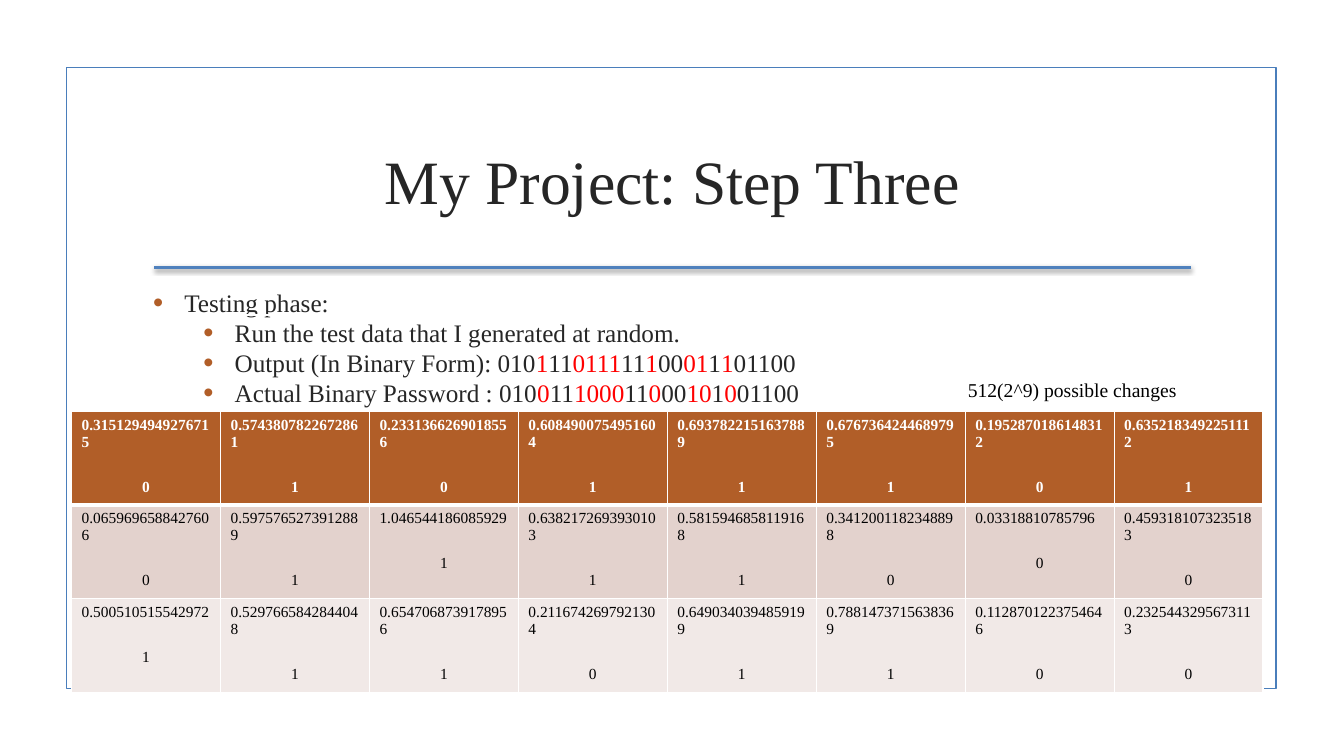
from itertools import groupby

from lxml.etree import SubElement
from pptx import Presentation
from pptx.dml.color import RGBColor
from pptx.enum.shapes import MSO_CONNECTOR as Connector, MSO_SHAPE as Shape
from pptx.enum.text import MSO_ANCHOR as Anchor, PP_ALIGN as Align
from pptx.oxml import parse_xml
from pptx.oxml.ns import nsdecls, qn
from pptx.util import Inches, Pt

WHITE = RGBColor(0xFF, 0xFF, 0xFF)
BLACK = RGBColor(0, 0, 0)
INK = RGBColor(0x26, 0x26, 0x26)
RED = RGBColor(0xFF, 0, 0)
RUST = RGBColor(0xB1, 0x5E, 0x28)
FRAME_BLUE = RGBColor(0x4A, 0x7E, 0xBB)
RULE_BLUE = RGBColor(0x4F, 0x81, 0xBD)
ROW_FILLS = [RUST, RGBColor(0xE3, 0xD2, 0xCD), RGBColor(0xF1, 0xE9, 0xE7)]

OUTPUT_BITS = "010111011111100011101100"
PASSWORD_BITS = "010011100011000101001100"
NETWORK_VALUES = [
    ["0.3151294949276715", "0.5743807822672861", "0.2331366269018556", "0.6084900754951604",
     "0.6937822151637889", "0.6767364244689795", "0.1952870186148312", "0.6352183492251112"],
    ["0.0659696588427606", "0.5975765273912889", "1.046544186085929", "0.6382172693930103",
     "0.5815946858119168", "0.3412001182348898", "0.03318810785796", "0.4593181073235183"],
    ["0.500510515542972", "0.5297665842844048", "0.6547068739178956", "0.2116742697921304",
     "0.6490340394859199", "0.7881473715638369", "0.1128701223754646", "0.2325443295673113"],
]


def add_span(para, text, size, color, **extra):
    span = para.add_run()
    span.text = text
    formats = {"name": "Times New Roman", "size": Pt(size), **extra}
    for name, value in formats.items():
        setattr(span.font, name, value)
    span.font.color.rgb = color
    return span


def add_text_frame(page, box, anchor=Anchor.TOP):
    frame = page.shapes.add_textbox(*map(Inches, box)).text_frame
    frame.word_wrap = True
    frame.vertical_anchor = anchor
    return frame


def add_frame(page, box):
    border = page.shapes.add_shape(Shape.RECTANGLE, *map(Inches, box))
    border.shadow.inherit = False
    border.fill.background()
    border.line.color.rgb = FRAME_BLUE
    border.line.width = Pt(1.25)


def add_rule(page, left, top, width):
    rule = page.shapes.add_connector(
        Connector.STRAIGHT, Inches(left), Inches(top), Inches(left + width), Inches(top))
    rule.line.color.rgb = RULE_BLUE
    rule.line.width = Pt(2)
    rule._element.spPr.append(parse_xml(
        f'<a:effectLst {nsdecls("a")}>'
        f'<a:outerShdw blurRad="{Pt(3.1)}" dist="{Pt(1.6)}" dir="5400000" rotWithShape="0">'
        '<a:srgbClr val="000000"><a:alpha val="38000"/></a:srgbClr>'
        '</a:outerShdw></a:effectLst>'))


def add_title(page, box, text):
    para = add_text_frame(page, box, Anchor.MIDDLE).paragraphs[0]
    para.alignment = Align.CENTER
    add_span(para, text, 44, INK)


def set_bullet(para, indent):
    props = para._p.get_or_add_pPr()
    props.set("marL", str(Inches(indent)))
    props.set("indent", str(Inches(-0.31)))
    color = SubElement(props, qn("a:buClr"))
    SubElement(color, qn("a:srgbClr"), val=str(RUST))
    SubElement(props, qn("a:buSzPct"), val="115000")
    SubElement(props, qn("a:buFont"), typeface="Arial")
    SubElement(props, qn("a:buChar"), char="•")


def whiten_underline(span):
    span.font._element.find(qn("a:latin")).addprevious(parse_xml(
        f'<a:uFill {nsdecls("a")}><a:solidFill><a:srgbClr val="{WHITE}"/>'
        '</a:solidFill></a:uFill>'))


def add_bits(para, bits, other):
    for differs, pairs in groupby(zip(bits, other), lambda pair: pair[0] != pair[1]):
        add_span(para, "".join(bit for bit, _ in pairs), 18, RED if differs else INK)


def add_testing_notes(page, box):
    frame = add_text_frame(page, box)
    notes = [
        ("Testing phase:", "", ""),
        ("Run the test data that I generated at random.", "", ""),
        ("Output (In Binary Form): ", OUTPUT_BITS, PASSWORD_BITS),
        ("Actual Binary Password : ", PASSWORD_BITS, OUTPUT_BITS),
    ]
    for index, (text, bits, other) in enumerate(notes):
        para = frame.add_paragraph() if index else frame.paragraphs[0]
        para.level = 1 if index else 0
        para.line_spacing = Pt(21.5)
        set_bullet(para, 0.81 if index else 0.31)
        span = add_span(para, text, 18, INK, underline=index == 0)
        if index == 0:
            whiten_underline(span)
        add_bits(para, bits, other)


def set_borders(cell, bottom):
    props = cell._tc.get_or_add_tcPr()
    widths = {"lnL": 0.96, "lnR": 0.96, "lnT": 0.96, "lnB": bottom}
    for index, (side, width) in enumerate(widths.items()):
        props.insert(index, parse_xml(
            f'<a:{side} {nsdecls("a")} w="{Pt(width)}"><a:solidFill>'
            f'<a:srgbClr val="{WHITE}"/></a:solidFill></a:{side}>'))


def add_value_table(page, box):
    left, top, width, height = map(Inches, box)
    row_count, column_count = len(NETWORK_VALUES), len(NETWORK_VALUES[0])
    table = page.shapes.add_table(row_count, column_count, left, top, width, height).table
    for row_index, values in enumerate(NETWORK_VALUES):
        header = row_index == 0
        color = WHITE if header else BLACK
        for column_index, value in enumerate(values):
            cell = table.cell(row_index, column_index)
            cell.fill.solid()
            cell.fill.fore_color.rgb = ROW_FILLS[row_index]
            set_borders(cell, 3 if header else 0.96)
            add_span(cell.text_frame.paragraphs[0], value, 11, color, bold=header)
            bit = cell.text_frame.add_paragraph()
            bit.alignment = Align.CENTER
            bit.space_before = Pt(20)
            add_span(bit, str(round(float(value))), 11, color, bold=header)


def add_caption(page, box, text):
    add_span(add_text_frame(page, box).paragraphs[0], text, 14, BLACK)


def main():
    deck = Presentation()
    deck.slide_width, deck.slide_height = Inches(13.33), Inches(7.5)
    page = deck.slides.add_slide(deck.slide_layouts[6])
    add_frame(page, (0.66, 0.67, 12, 6.16))
    add_rule(page, 1.53, 2.65, 10.28)
    add_title(page, (1.42, 1.07, 10.5, 1.42), "My Project: Step Three")
    add_testing_notes(page, (1.42, 2.8, 10.5, 3.63))
    add_value_table(page, (0.71, 4.08, 11.82, 2.75))
    add_caption(page, (9.5, 3.7, 3.78, 0.33), "512(2^9) possible changes")
    deck.save("out.pptx")


if __name__ == "__main__":
    main()
